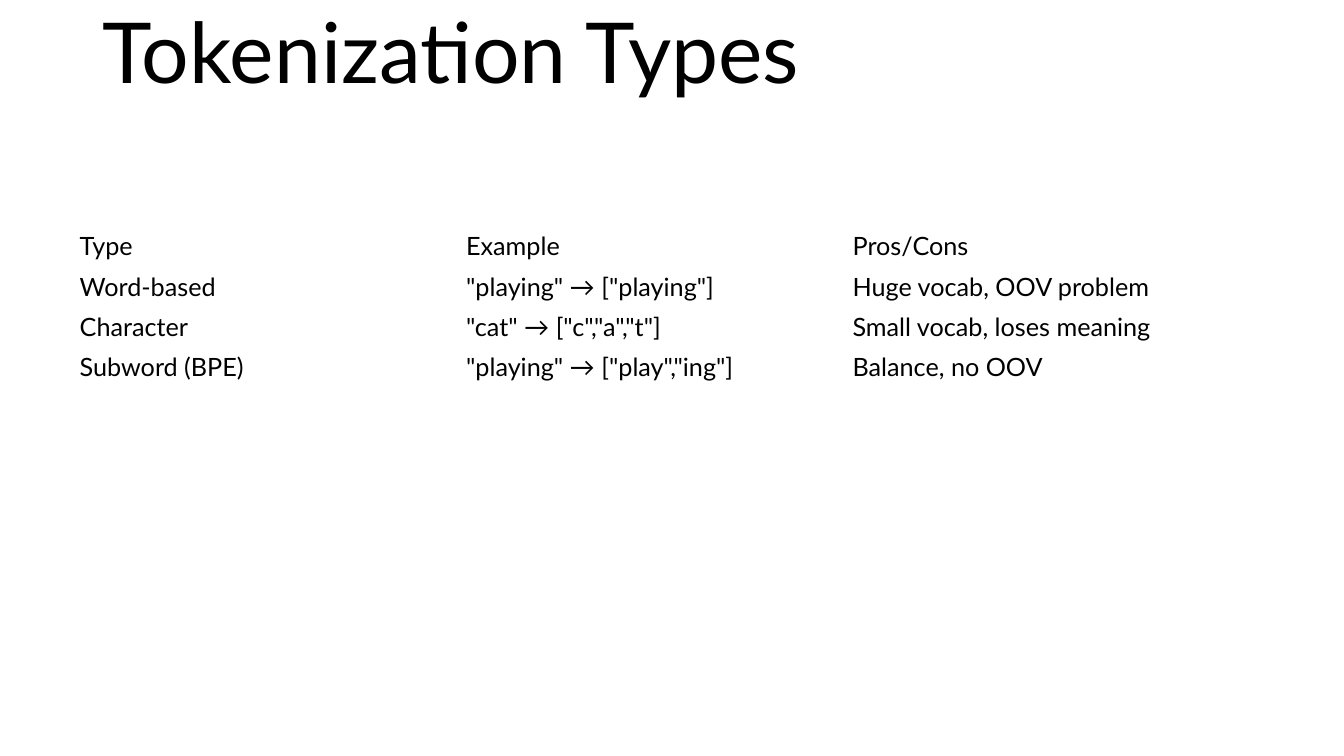
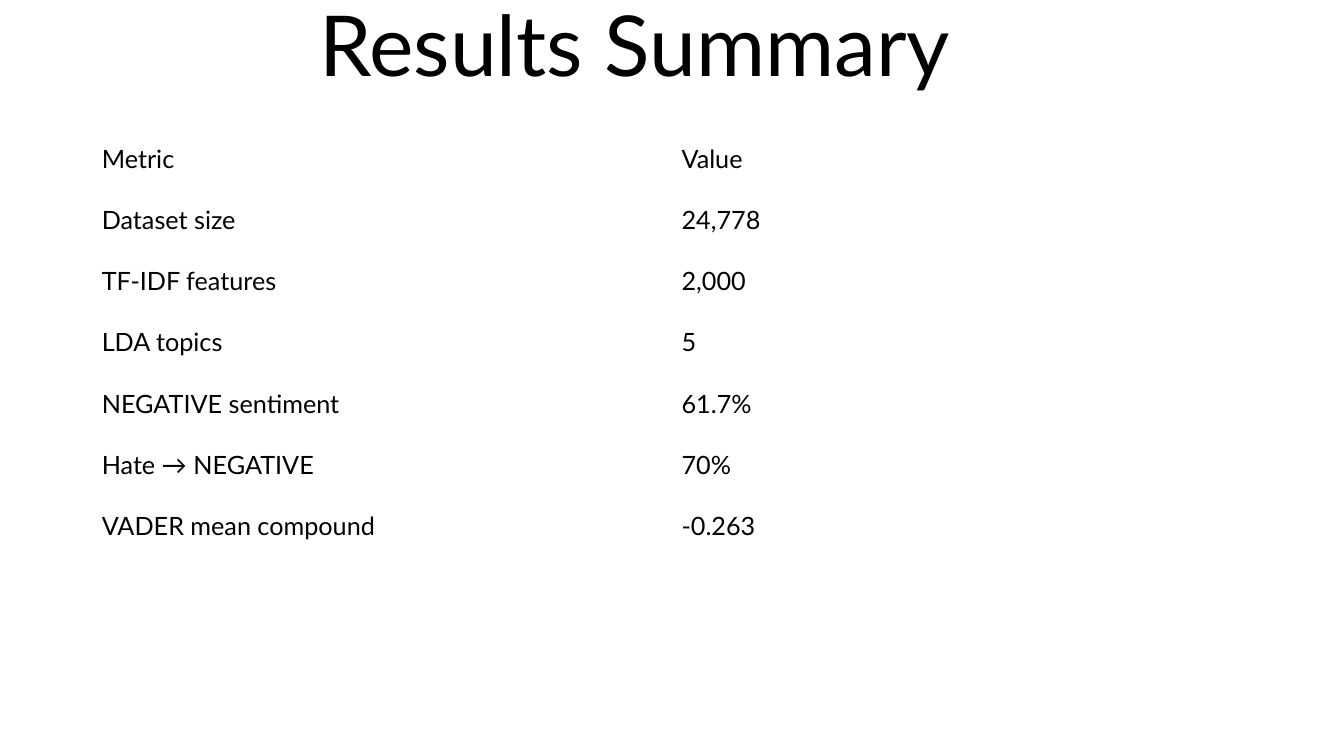
from dataclasses import dataclass

from pptx import Presentation
from pptx.dml.color import RGBColor
from pptx.enum.text import MSO_ANCHOR
from pptx.slide import Slide
from pptx.text.text import _Paragraph as Paragraph
from pptx.util import Inches, Pt

COLORS = {"background": "FFFFFF", "text": "000000"}
FONT = "Lato"
TITLE_SIZE, CELL_SIZE = 60, 18
TITLE_WIDTH, TITLE_HEIGHT = 11.5, 3.12
TABLE_WIDTH = 11.5


@dataclass(frozen=True)
class TableSlide:
    title: str
    title_left: float
    title_top: float
    table_left: float
    table_top: float
    table_height: float
    rows: list[tuple[str, ...]]


SLIDES = [
    TableSlide("Tokenization Types", 0.92, -2.06, 0.69, 2.24, 1.6, [
        ("Type", "Example", "Pros/Cons"),
        ("Word-based", '"playing" → ["playing"]', "Huge vocab, OOV problem"),
        ("Character", '"cat" → ["c","a","t"]', "Small vocab, loses meaning"),
        ("Subword (BPE)", '"playing" → ["play","ing"]', "Balance, no OOV"),
    ]),
    TableSlide("Results Summary", 3.07, -2.13, 0.91, 1.27, 4.25, [
        ("Metric", "Value"),
        ("Dataset size", "24,778"),
        ("TF-IDF features", "2,000"),
        ("LDA topics", "5"),
        ("NEGATIVE sentiment", "61.7%"),
        ("Hate → NEGATIVE", "70%"),
        ("VADER mean compound", "-0.263"),
    ]),
]


def write(p: Paragraph, text: str, size: int) -> None:
    p.text = text
    for r in p.runs:
        r.font.name = FONT
        r.font.size = Pt(size)
        r.font.color.rgb = RGBColor.from_string(COLORS["text"])


def add_title(s: Slide, content: TableSlide) -> None:
    sp = s.shapes.add_textbox(Inches(content.title_left), Inches(content.title_top),
                              Inches(TITLE_WIDTH), Inches(TITLE_HEIGHT))
    tf = sp.text_frame
    tf.word_wrap = True
    tf.vertical_anchor = MSO_ANCHOR.BOTTOM
    p = tf.paragraphs[0]
    p.line_spacing = 0.9
    write(p, content.title, TITLE_SIZE)


def add_plain_table(s: Slide, content: TableSlide) -> None:
    """Add a table without fills, banding or header emphasis."""
    rows = content.rows
    table = s.shapes.add_table(
        len(rows), len(rows[0]), Inches(content.table_left), Inches(content.table_top),
        Inches(TABLE_WIDTH), Inches(content.table_height)).table
    table.first_row = False
    table.horz_banding = False
    for i, row in enumerate(rows):
        for j, text in enumerate(row):
            cell = table.cell(i, j)
            cell.fill.background()
            cell.vertical_anchor = MSO_ANCHOR.MIDDLE
            write(cell.text_frame.paragraphs[0], text, CELL_SIZE)


def main() -> None:
    prs = Presentation()
    prs.slide_width, prs.slide_height = Inches(13.33), Inches(7.5)
    for content in SLIDES:
        s = prs.slides.add_slide(prs.slide_layouts[6])
        fill = s.background.fill
        fill.solid()
        fill.fore_color.rgb = RGBColor.from_string(COLORS["background"])
        add_title(s, content)
        add_plain_table(s, content)
    prs.save("out.pptx")


if __name__ == "__main__":
    main()
